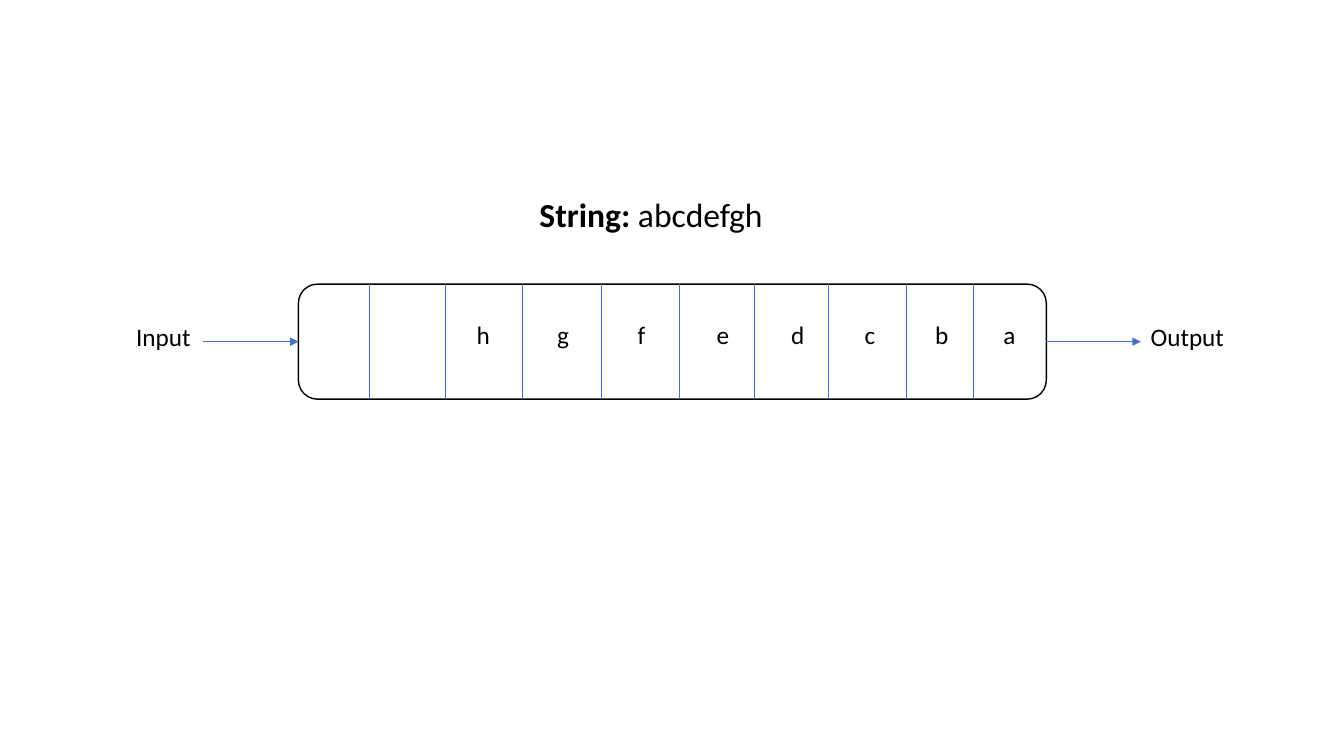
import pptx
import pptx.util
import pptx.dml.color
import pptx.enum.shapes
import pptx.enum.text
import pptx.oxml
import pptx.oxml.ns

Cm = pptx.util.Cm
Pt = pptx.util.Pt

HEADING = [("String: ", True), ("abcdefgh", False)]
INPUT = ("Input", 3.18, 1.93)
OUTPUT = ("Output", 28.75, 3.84)
LETTERS = [("h", 11.76), ("g", 13.79), ("f", 15.82), ("e", 17.81),
           ("d", 19.69), ("c", 21.54), ("b", 23.32), ("a", 25.04)]
DIVIDERS = [9.3, 11.23, 13.16, 15.16, 17.12, 19.02, 20.88, 22.83, 24.54]

QUEUE_LEFT, QUEUE_TOP, QUEUE_WIDTH, QUEUE_HEIGHT = 7.52, 7.16, 18.85, 2.9
QUEUE_RIGHT = QUEUE_LEFT + QUEUE_WIDTH
QUEUE_BOTTOM = QUEUE_TOP + QUEUE_HEIGHT
QUEUE_MIDDLE = QUEUE_TOP + QUEUE_HEIGHT / 2
LABEL_TOP, LETTER_TOP, LETTER_WIDTH, TEXT_HEIGHT = 7.98, 7.92, 0.76, 1.02

THEME = {
    "ink": pptx.dml.color.RGBColor(0, 0, 0),
    "accent": pptx.dml.color.RGBColor(0x44, 0x72, 0xC4),
    "font": "Calibri",
    "heading": Pt(24),
    "label": Pt(18),
    "outline": Pt(1),
    "thin": Pt(0.5),
}
FRAME_FORMAT = {
    "word_wrap": True,
    "auto_size": pptx.enum.text.MSO_AUTO_SIZE.SHAPE_TO_FIT_TEXT,
    "vertical_anchor": pptx.enum.text.MSO_ANCHOR.TOP,
}


def apply(target, values):
    for key, value in values.items():
        setattr(target, key, value)


def write(frame, pieces, size):
    apply(frame, FRAME_FORMAT)
    paragraph = frame.paragraphs[0]
    apply(paragraph, {"alignment": pptx.enum.text.PP_ALIGN.LEFT, "line_spacing": 1.0})
    for words, bold in pieces:
        run = paragraph.add_run()
        run.text = words
        apply(run.font, {"name": THEME["font"], "size": size, "bold": bold})
        run.font.color.rgb = THEME["ink"]


def add_label(slide, words, left, top, width):
    label = slide.shapes.add_textbox(Cm(left), Cm(top), Cm(width), Cm(TEXT_HEIGHT))
    write(label.text_frame, [(words, False)], THEME["label"])


def add_line(slide, x1, y1, x2, y2, arrow=False):
    line = slide.shapes.add_connector(
        pptx.enum.shapes.MSO_CONNECTOR.STRAIGHT, Cm(x1), Cm(y1), Cm(x2), Cm(y2))
    line.line.color.rgb = THEME["accent"]
    line.line.width = THEME["thin"]
    properties = line.element.spPr
    if arrow:
        head = pptx.oxml.parse_xml(
            f'<a:tailEnd {pptx.oxml.ns.nsdecls("a")} type="triangle"/>')
        line.line._get_or_add_ln().append(head)
    properties.append(pptx.oxml.parse_xml(
        f'<a:effectLst {pptx.oxml.ns.nsdecls("a")}/>'))
    return line


def main():
    deck = pptx.Presentation()
    apply(deck, {"slide_width": Cm(33.87), "slide_height": Cm(19.05)})
    slide = deck.slides.add_slide(deck.slide_layouts[5])

    heading = slide.shapes.title
    apply(heading, {"left": Cm(13.34), "top": Cm(4.75),
                    "width": Cm(6.5), "height": Cm(1.27)})
    write(heading.text_frame, HEADING, THEME["heading"])

    queue = slide.shapes.add_shape(
        pptx.enum.shapes.MSO_SHAPE.ROUNDED_RECTANGLE,
        Cm(QUEUE_LEFT), Cm(QUEUE_TOP), Cm(QUEUE_WIDTH), Cm(QUEUE_HEIGHT))
    queue.shadow.inherit = False
    queue.fill.background()
    queue.line.color.rgb = THEME["ink"]
    queue.line.width = THEME["outline"]

    for divider in DIVIDERS:
        add_line(slide, divider, QUEUE_TOP, divider, QUEUE_BOTTOM)

    input_right = INPUT[1] + INPUT[2]
    add_line(slide, input_right, QUEUE_MIDDLE, QUEUE_LEFT, QUEUE_MIDDLE,
             arrow=True).end_connect(queue, 1)
    add_line(slide, QUEUE_RIGHT, QUEUE_MIDDLE, OUTPUT[1], QUEUE_MIDDLE,
             arrow=True).begin_connect(queue, 3)

    for words, left, width in (INPUT, OUTPUT):
        add_label(slide, words, left, LABEL_TOP, width)
    for letter, left in LETTERS:
        add_label(slide, letter, left, LETTER_TOP, LETTER_WIDTH)

    deck.save("out.pptx")


if __name__ == "__main__":
    main()
